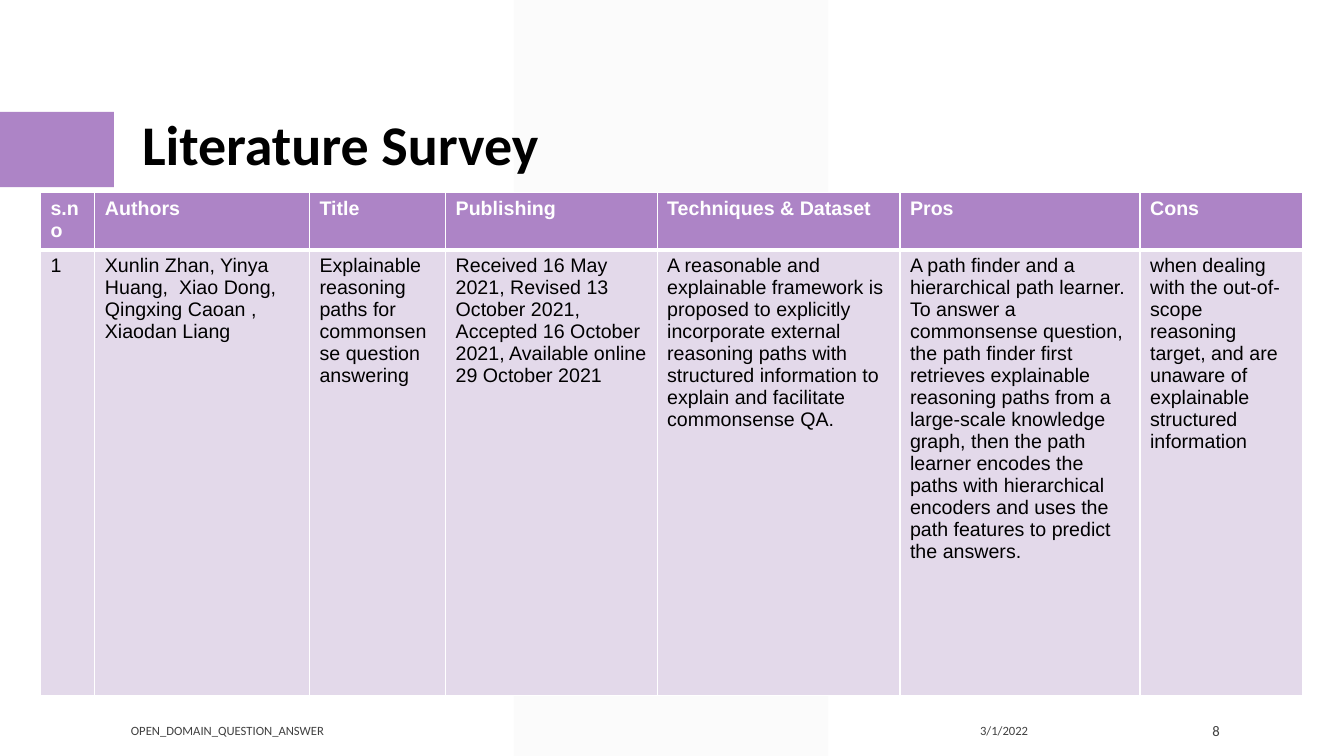
from lxml.etree import SubElement
from pptx import Presentation
from pptx.dml.color import RGBColor
from pptx.enum.shapes import MSO_SHAPE
from pptx.enum.text import MSO_ANCHOR, PP_ALIGN
from pptx.oxml import parse_xml
from pptx.oxml.ns import nsdecls, qn
from pptx.util import Cm, Pt

PURPLE = RGBColor(0xAD, 0x84, 0xC6)
LILAC = RGBColor(0xE3, 0xD9, 0xEA)
PALE = RGBColor(0xF2, 0xF2, 0xF2)
GREY = RGBColor(0x40, 0x40, 0x40)
BLACK = RGBColor(0, 0, 0)
WHITE = RGBColor(0xFF, 0xFF, 0xFF)

COLUMNS = [
    ("s.no", 1.37, "1"),
    ("Authors", 5.41,
     "Xunlin Zhan, Yinya Huang,  Xiao Dong, Qingxing Caoan , Xiaodan Liang"),
    ("Title", 3.43,
     "Explainable reasoning paths for commonsense question answering"),
    ("Publishing", 5.33,
     "Received 16 May 2021, Revised 13 October 2021, "
     "Accepted 16 October 2021, Available online 29 October 2021"),
    ("Techniques & Dataset", 6.12,
     "A reasonable and explainable framework is proposed to explicitly "
     "incorporate external reasoning paths with structured information to "
     "explain and facilitate commonsense QA."),
    ("Pros", 6.05,
     "A path finder and a hierarchical path learner. To answer a commonsense "
     "question, the path finder first retrieves explainable reasoning paths "
     "from a large-scale knowledge graph, then the path learner encodes the "
     "paths with hierarchical encoders and uses the path features to predict "
     "the answers."),
    ("Cons", 4.09,
     "when dealing with the out-of-scope reasoning target, and are unaware of "
     "explainable structured information"),
]


def write(frame, text, size, font="Calibri", color=BLACK, bold=False,
          align=PP_ALIGN.LEFT):
    frame.word_wrap = True
    line = frame.paragraphs[0]
    line.alignment = align
    run = line.add_run()
    run.text = text
    run.font.name = font
    run.font.size = Pt(size)
    run.font.bold = bold
    run.font.color.rgb = color


def add_label(slide, box, text, size, anchor=MSO_ANCHOR.MIDDLE, **style):
    frame = slide.shapes.add_textbox(*map(Cm, box)).text_frame
    frame.vertical_anchor = anchor
    write(frame, text, size, **style)


def add_block(slide, kind, box, color):
    block = slide.shapes.add_shape(kind, *map(Cm, box))
    block.shadow.inherit = False
    block.fill.solid()
    block.fill.fore_color.rgb = color
    block.line.fill.background()
    return block


def add_band(slide, box):
    """Place the see-through stripe behind the content."""
    band = add_block(slide, MSO_SHAPE.PARALLELOGRAM, box, PALE)
    band.adjustments[0] = 0
    tint = next(band._element.spPr.iter(qn("a:srgbClr")))
    SubElement(tint, qn("a:alpha")).set("val", "30000")


def add_heading(slide, box, text):
    left, top, width, height = box
    add_block(slide, MSO_SHAPE.RECTANGLE, (left, top + 0.18, 2.87, 1.9), PURPLE)
    inset = 3.33
    add_label(slide, (left + inset, top, width - inset, height), text, 40,
              anchor=MSO_ANCHOR.TOP, bold=True)


def set_edges(cell, **widths):
    """Draw white cell borders with the given widths in points."""
    props = cell._tc.get_or_add_tcPr()
    for spot, side in enumerate("LRTB"):
        width = Pt(widths.get(side, 1))
        props.insert(spot, parse_xml(
            f'<a:ln{side} {nsdecls("a")} w="{width}"><a:solidFill>'
            f'<a:srgbClr val="{WHITE}"/></a:solidFill></a:ln{side}>'))


def fill_cell(cell, text, fill, edges, **style):
    cell.fill.solid()
    cell.fill.fore_color.rgb = fill
    set_edges(cell, **edges)
    write(cell.text_frame, text, 14, font="Arial", **style)


def add_survey(slide, box):
    table = slide.shapes.add_table(2, len(COLUMNS), *map(Cm, box)).table
    head = 1.4
    table.rows[0].height = Cm(head)
    table.rows[1].height = Cm(box[3] - head)
    for col, (name, width, text) in enumerate(COLUMNS):
        table.columns[col].width = Cm(width)
        fill_cell(table.cell(0, col), name, PURPLE, {"B": 3},
                  color=WHITE, bold=True)
        fill_cell(table.cell(1, col), text, LILAC, {"T": 3})


def add_footer(slide, box):
    left, top, _, height = box
    right = PP_ALIGN.RIGHT
    for shift, width, text, size, align in (
            (0, 13.46, "OPEN_DOMAIN_QUESTION_ANSWER", 9, PP_ALIGN.LEFT),
            (15.92, 7.19, "3/1/2022", 9, right),
            (25.78, 2.16, "8", 10.5, right)):
        add_label(slide, (left + shift, top, width, height), text, size,
                  color=GREY, align=align)


def main():
    deck = Presentation()
    deck.slide_width, deck.slide_height = Cm(33.87), Cm(19.05)
    slide = deck.slides.add_slide(deck.slide_layouts[6])
    add_band(slide, (12.95, 0, 7.92, 19.05))
    add_heading(slide, (0, 2.64, 20.25, 1.96), "Literature Survey")
    add_survey(slide, (1.02, 4.85, 31.8, 12.63))
    add_footer(slide, (3.05, 17.91, 27.94, 1.02))
    deck.save("out.pptx")


if __name__ == "__main__":
    main()
